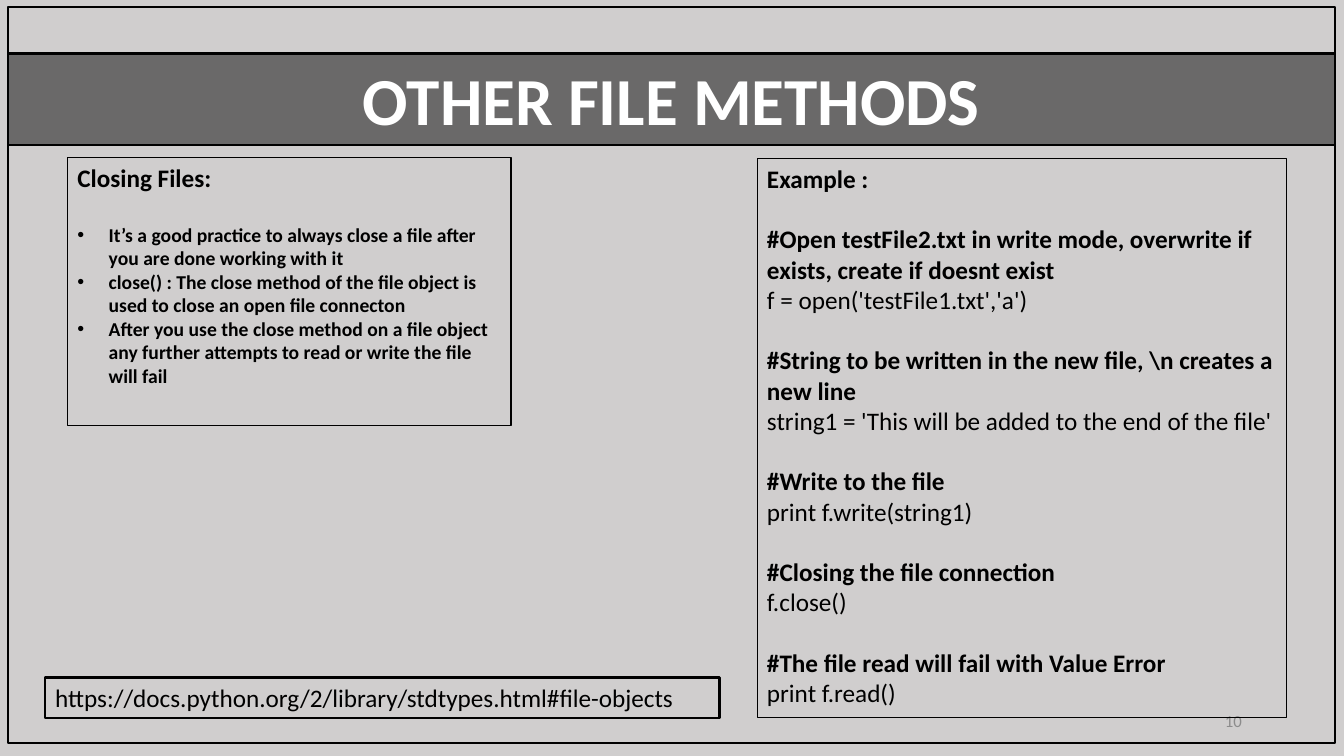
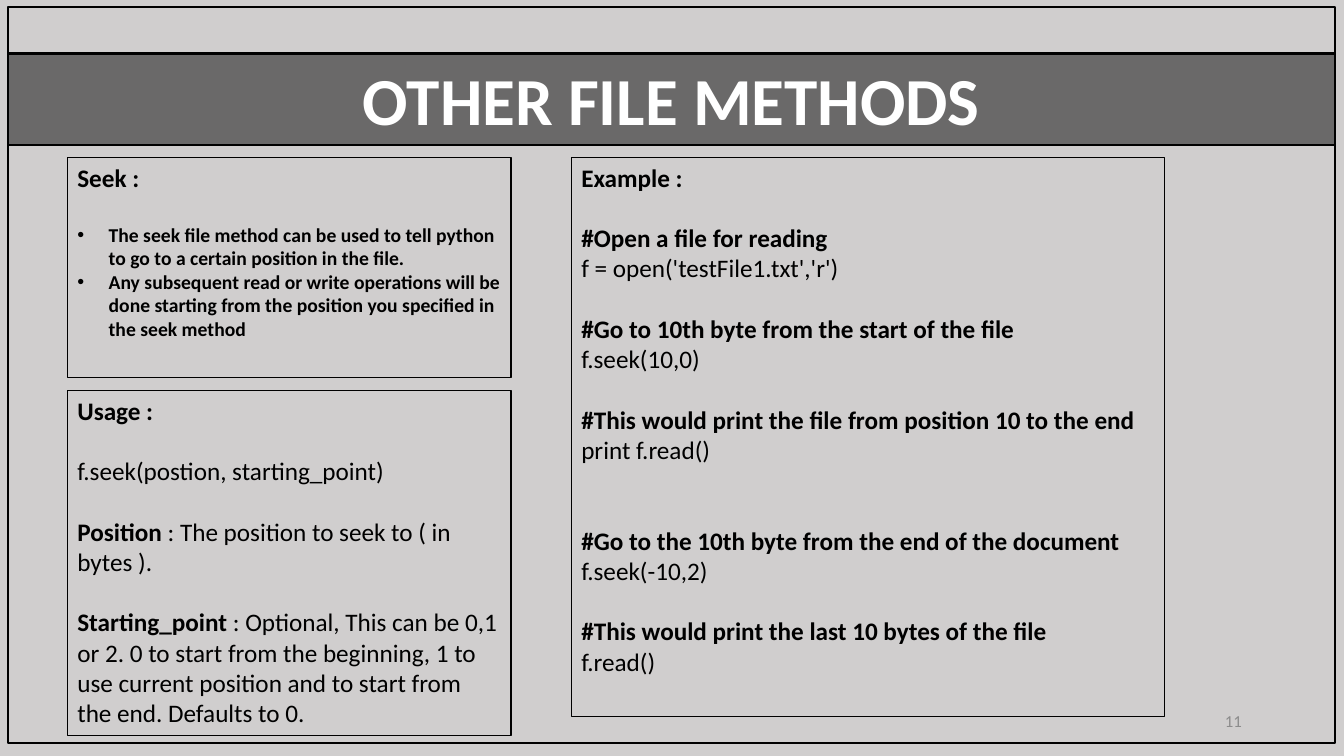
from dataclasses import dataclass

from lxml.etree import SubElement
from pptx import Presentation
from pptx.dml.color import RGBColor
from pptx.enum.shapes import MSO_SHAPE as Preset
from pptx.enum.text import MSO_ANCHOR as Anchor, MSO_AUTO_SIZE as AutoSize, PP_ALIGN as Align
from pptx.oxml.ns import qn
from pptx.presentation import Presentation as Deck
from pptx.shapes.autoshape import Shape
from pptx.slide import Slide
from pptx.text.text import TextFrame
from pptx.util import Cm, Pt

BLACK = RGBColor(0x00, 0x00, 0x00)
WHITE = RGBColor(0xFF, 0xFF, 0xFF)
GREY = RGBColor(0x8C, 0x8C, 0x8C)
BACKGROUND = RGBColor(0xD0, 0xCE, 0xCE)
FONT = "Calibri"
THIN, THICK = 0.75, 1.75
BLANK_LINE = 21.6
BULLET_INDENT = Cm(0.79)
TITLE = "OTHER FILE METHODS"
TITLE_ONLY = 5


@dataclass(frozen=True)
class Area:
    left: float
    top: float
    width: float
    height: float


@dataclass(frozen=True)
class Entry:
    text: str
    label: str = ""
    bold: bool = False
    size: int = 18
    bullet: bool = False
    blank_lines: int = 0


@dataclass(frozen=True)
class Panel:
    area: Area
    entries: list[Entry]
    line_width: float = THIN


@dataclass(frozen=True)
class Page:
    number: int
    panels: list[Panel]


FRAME = Area(0.2, 0.18, 33.45, 18.54)
BAND = Area(0.2, 1.35, 33.45, 2.31)
NUMBER = Area(23.93, 17.65, 7.62, 1.02)


def heading(text: str) -> Entry:
    return Entry(text, bold=True)


def bullets(*texts: str) -> list[Entry]:
    return [Entry(text, bold=True, size=14, bullet=True, blank_lines=int(index == 0))
            for index, text in enumerate(texts)]


def step(comment: str, code: str, blank_lines: int = 1) -> list[Entry]:
    return [Entry(comment, bold=True, blank_lines=blank_lines), Entry(code)]


PAGES = [
    Page(10, [
        Panel(Area(1.7, 3.96, 11.18, 6.76), [
            heading("Closing Files:"),
            *bullets(
                "It’s a good practice to always close a file after you are done working with it",
                "close() : The close method of the file object is used to close an open file connecton",
                "After you use the close method on a file object any further attempts to read "
                "or write the file will fail",
            ),
        ]),
        Panel(Area(19.08, 3.99, 13.34, 14.1), [
            heading("Example :"),
            *step("#Open testFile2.txt in write mode, overwrite if exists, create if doesnt exist",
                  "f = open('testFile1.txt','a')"),
            *step("#String to be written in the new file, \\n creates a new line",
                  "string1 = 'This will be added to the end of the file'"),
            *step("#Write to the file", "print f.write(string1)"),
            *step("#Closing the file connection", "f.close()"),
            *step("#The file read will fail with Value Error", "print f.read()"),
        ]),
        Panel(Area(1.14, 17.07, 16.99, 1.02), [
            Entry("https://docs.python.org/2/library/stdtypes.html#file-objects"),
        ], THICK),
    ]),
    Page(11, [
        Panel(Area(1.7, 3.96, 11.18, 5.56), [
            heading("Seek :"),
            *bullets(
                "The seek file method can be used to tell python to go to a certain position "
                "in the file.",
                "Any subsequent read or write operations will be done starting from the position "
                "you specified in the seek method",
            ),
        ]),
        Panel(Area(14.4, 3.96, 14.96, 14.1), [
            heading("Example :"),
            *step("#Open a file for reading", "f = open('testFile1.txt','r')"),
            *step("#Go to 10th byte from the start of the file", "f.seek(10,0)"),
            *step("#This would print the file from position 10 to the end", "print f.read()"),
            *step("#Go to the 10th byte from the end of the document", "f.seek(-10,2)",
                  blank_lines=2),
            *step("#This would print the last 10 bytes of the file", "f.read()"),
        ]),
        Panel(Area(1.7, 9.83, 11.18, 8.71), [
            heading("Usage :"),
            Entry("f.seek(postion, starting_point)", blank_lines=1),
            Entry(" : The position to seek to ( in bytes ).", label="Position", blank_lines=1),
            Entry(" : Optional, This can be 0,1 or 2. 0 to start from the beginning, 1 to use "
                  "current position and to start from the end. Defaults to 0.",
                  label="Starting_point", blank_lines=1),
        ]),
    ]),
]


def write(frame: TextFrame, text: str, *, label: str = "", size: int = 18, bold: bool = False,
          color: RGBColor = BLACK, align: Align = Align.LEFT, blank_lines: int = 0,
          bullet: bool = False) -> None:
    paragraph = frame.paragraphs[-1]
    if paragraph.runs:
        paragraph = frame.add_paragraph()
    paragraph.alignment = align
    paragraph.space_before = Pt(BLANK_LINE * blank_lines)
    for part, is_bold in ((label, True), (text, bold)):
        if part:
            run = paragraph.add_run()
            run.text = part
            run.font.name = FONT
            run.font.size = Pt(size)
            run.font.bold = is_bold
            run.font.color.rgb = color
    if bullet:
        properties = paragraph._p.get_or_add_pPr()
        properties.set("marL", str(BULLET_INDENT))
        properties.set("indent", str(-BULLET_INDENT))
        SubElement(properties, qn("a:buFont"), typeface="Arial")
        SubElement(properties, qn("a:buChar"), char="•")


def place(shape: Shape, area: Area) -> None:
    shape.left, shape.top = Cm(area.left), Cm(area.top)
    shape.width, shape.height = Cm(area.width), Cm(area.height)


def outline(shape: Shape, width: float) -> None:
    shape.line.color.rgb = BLACK
    shape.line.width = Pt(width)


def prepare(frame: TextFrame, anchor: Anchor = Anchor.TOP) -> TextFrame:
    frame.word_wrap = True
    frame.auto_size = AutoSize.NONE
    frame.vertical_anchor = anchor
    return frame


def add_box(slide: Slide, area: Area, line_width: float) -> Shape:
    box = slide.shapes.add_shape(Preset.RECTANGLE, 0, 0, 0, 0)
    place(box, area)
    box.shadow.inherit = False
    box.fill.background()
    outline(box, line_width)
    return box


def add_title(slide: Slide) -> None:
    title = slide.shapes.title
    place(title, BAND)
    title.fill.solid()
    title.fill.fore_color.rgb = BLACK
    color = title._element.spPr.find(qn("a:solidFill"))[0]
    SubElement(color, qn("a:alpha"), val="49000")
    outline(title, THICK)
    write(prepare(title.text_frame), TITLE, size=48, bold=True, color=WHITE, align=Align.CENTER)


def add_number(slide: Slide, number: int) -> None:
    box = slide.shapes.add_textbox(0, 0, 0, 0)
    place(box, NUMBER)
    write(prepare(box.text_frame, Anchor.MIDDLE), str(number), size=12, color=GREY,
          align=Align.RIGHT)


def add_panel(slide: Slide, panel: Panel) -> None:
    frame = prepare(add_box(slide, panel.area, panel.line_width).text_frame)
    for entry in panel.entries:
        write(frame, entry.text, label=entry.label, size=entry.size, bold=entry.bold,
              blank_lines=entry.blank_lines, bullet=entry.bullet)


def add_page(presentation: Deck, page: Page) -> None:
    slide = presentation.slides.add_slide(presentation.slide_layouts[TITLE_ONLY])
    add_title(slide)
    add_box(slide, FRAME, THICK)
    add_number(slide, page.number)
    for panel in page.panels:
        add_panel(slide, panel)


presentation = Presentation()
presentation.slide_width, presentation.slide_height = Cm(33.87), Cm(19.05)
background = presentation.slide_master.background.fill
background.solid()
background.fore_color.rgb = BACKGROUND
for page in PAGES:
    add_page(presentation, page)
presentation.save("out.pptx")
